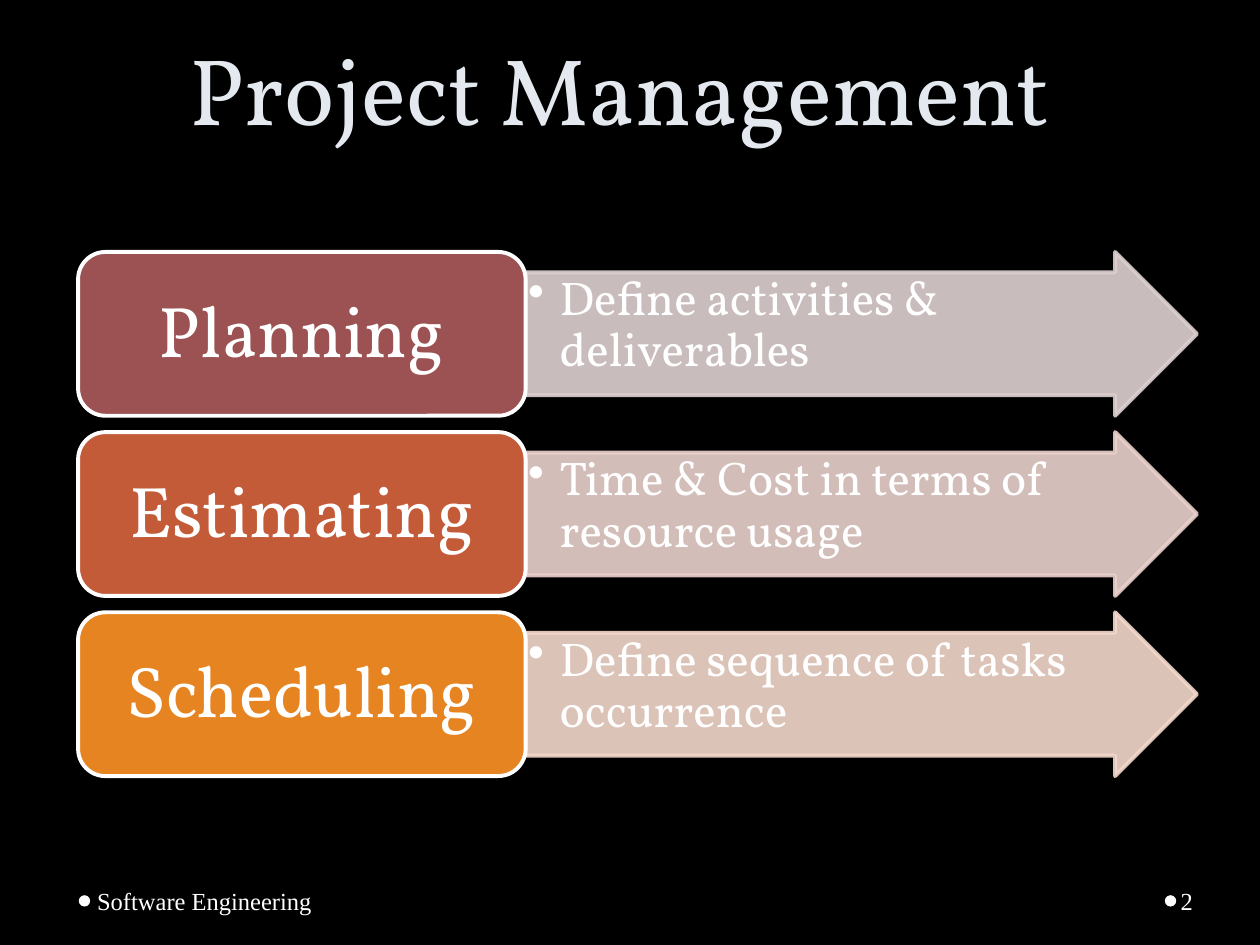
from lxml import etree
from pptx import Presentation
from pptx.dml.color import RGBColor
from pptx.enum.shapes import MSO_SHAPE
from pptx.enum.text import MSO_ANCHOR, MSO_AUTO_SIZE, PP_ALIGN
from pptx.oxml.ns import qn
from pptx.util import Inches, Pt

COLORS = {
    "background": "000000", "title": "E4E9EF", "text": "FFFFFF",
    "planning": "9C5252", "planning_arrow": "DED1D1",
    "estimating": "C35B38", "estimating_arrow": "EBD2CD",
    "scheduling": "E68422", "scheduling_arrow": "F5D9CC",
}
STEPS = [
    ("Planning", "Define activities & deliverables"),
    ("Estimating", "Time & Cost in terms of resource usage"),
    ("Scheduling", "Define sequence of tasks occurrence"),
]
HEADING_FONT = "Vollkorn"
FOOTER_FONT = "Times New Roman"


def rgb(name):
    """Return the named palette colour."""
    return RGBColor.from_string(COLORS[name])


def set_text(shape, text, font, size, color, anchor, insets):
    """Write one formatted paragraph into a shape and return it."""
    tf = shape.text_frame
    tf.text = text
    tf.word_wrap = True
    tf.auto_size = MSO_AUTO_SIZE.NONE
    tf.vertical_anchor = anchor
    tf.margin_left, tf.margin_top, tf.margin_right, tf.margin_bottom = map(Inches, insets)
    p = tf.paragraphs[0]
    p.alignment = PP_ALIGN.LEFT
    f = p.runs[0].font
    f.name, f.size = font, Pt(size)
    f.color.rgb = rgb(color)
    return p


def add_block(s, kind, box, fill, line):
    """Add a filled, outlined preset shape without shadow."""
    sp = s.shapes.add_shape(kind, *map(Inches, box))
    sp.shadow.inherit = False
    sp.fill.solid()
    sp.fill.fore_color.rgb = rgb(fill)
    sp.line.color.rgb = rgb(line)
    sp.line.width = Pt(2.25)
    return sp


def set_alpha(shape, percent):
    """Make the fill and line of a shape partly transparent."""
    for color in shape.element.spPr.iter(qn("a:srgbClr")):
        etree.SubElement(color, qn("a:alpha"), val=str(percent * 1000))


def set_bullet(p, indent):
    """Give a paragraph a hanging round bullet."""
    pPr = p._p.get_or_add_pPr()
    pPr.set("marL", str(Inches(indent)))
    pPr.set("indent", str(-Inches(indent)))
    etree.SubElement(pPr, qn("a:buChar"), char="•")


def add_title(s, box, text):
    """Place and format the title placeholder."""
    title = s.shapes.title
    title.left, title.top, title.width, title.height = map(Inches, box)
    p = set_text(title, text, HEADING_FONT, 54, "title", MSO_ANCHOR.BOTTOM, (0.1, 0.05, 0.1, 0.05))
    p.alignment = PP_ALIGN.CENTER
    p.line_spacing = Pt(58)


def add_step(s, box, name, detail):
    """Draw one step: a rounded label followed by an arrow with its detail."""
    left, top, width, height = box
    label_width = width * 0.4
    key = name.lower()

    arrow = add_block(s, MSO_SHAPE.RIGHT_ARROW,
                      (left + label_width, top, width - label_width, height),
                      f"{key}_arrow", f"{key}_arrow")
    arrow.adjustments[0] = 0.75
    arrow.adjustments[1] = 0.5
    set_alpha(arrow, 90)
    p = set_text(arrow, detail, HEADING_FONT, 27, "text", MSO_ANCHOR.TOP, (0.02, 0.02, 0.34, 0.02))
    p.line_spacing = 0.9
    set_bullet(p, 0.25)

    label = add_block(s, MSO_SHAPE.ROUNDED_RECTANGLE, (left, top, label_width, height), key, "text")
    p = set_text(label, name, HEADING_FONT, 41, "text", MSO_ANCHOR.MIDDLE, (0.17, 0.09, 0.17, 0.09))
    p.alignment = PP_ALIGN.CENTER
    p.line_spacing = 0.9


def add_steps(s, box, steps, gap):
    """Stack the steps evenly in the box."""
    left, top, width, height = box
    row = (height - gap * (len(steps) - 1)) / len(steps)
    for i, (name, detail) in enumerate(steps):
        add_step(s, (left, top + i * (row + gap), width, row), name, detail)


def add_footer_item(s, box, text, insets):
    """Add a footer text with a dot just left of it."""
    left, top, width, height = box
    size = 0.09
    dot = s.shapes.add_shape(MSO_SHAPE.OVAL, Inches(left - size - 0.005),
                             Inches(top + (height - size) / 2), Inches(size), Inches(size))
    dot.shadow.inherit = False
    dot.fill.solid()
    dot.fill.fore_color.rgb = rgb("text")
    dot.line.fill.background()
    tb = s.shapes.add_textbox(*map(Inches, box))
    set_text(tb, text, FOOTER_FONT, 14, "text", MSO_ANCHOR.MIDDLE, insets)


def main():
    """Build and save the project management slide."""
    prs = Presentation()
    prs.slide_width, prs.slide_height = Inches(10), Inches(7.5)
    s = prs.slides.add_slide(prs.slide_layouts[5])
    s.background.fill.solid()
    s.background.fill.fore_color.rgb = rgb("background")
    add_title(s, (0.42, 0.12, 9, 1.08), "Project Management")
    add_steps(s, (0.62, 2, 8.88, 4.16), STEPS, 0.13)
    add_footer_item(s, (0.72, 6.95, 3.11, 0.4), "Software Engineering", (0.05, 0.05, 0.1, 0.05))
    add_footer_item(s, (9.34, 6.95, 0.61, 0.4), "2", (0.03, 0.05, 0.05, 0.05))
    prs.save("out.pptx")


if __name__ == "__main__":
    main()
